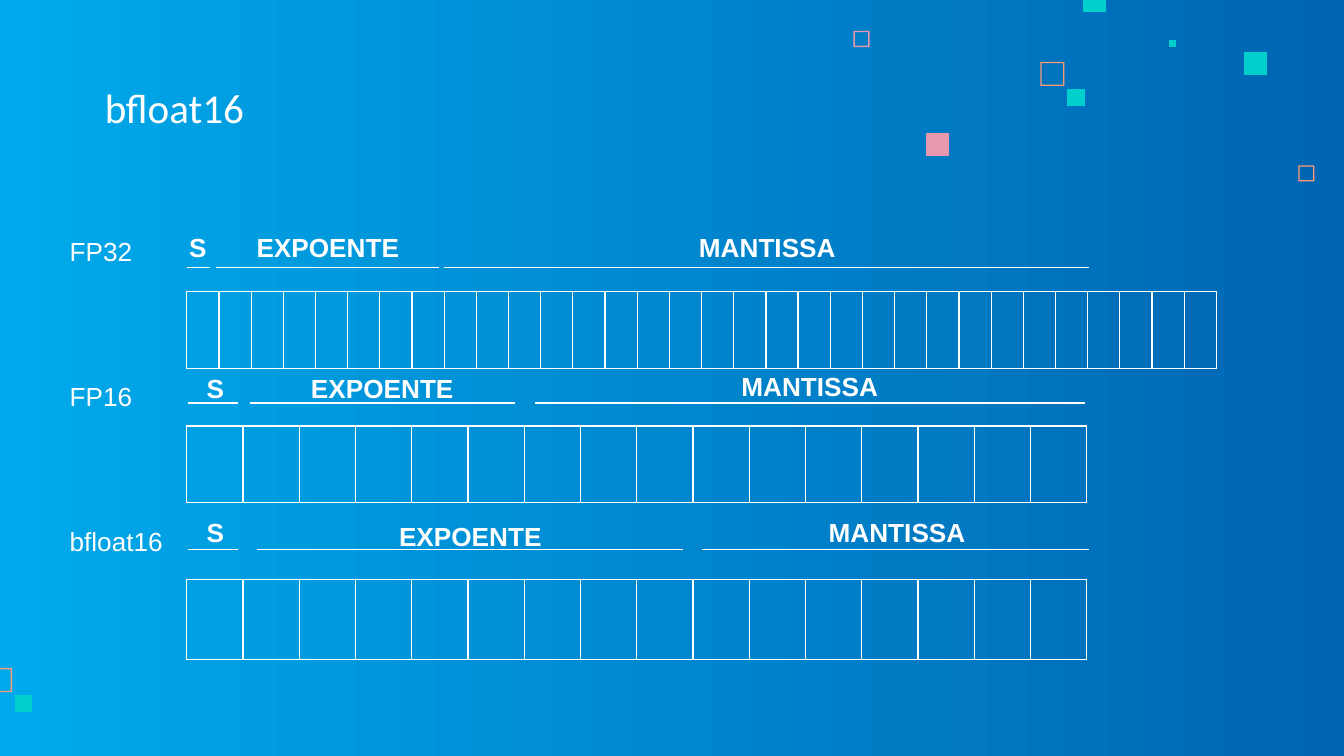
from lxml import etree
from pptx import Presentation
from pptx import util as u
from pptx.dml.color import RGBColor
from pptx.enum import shapes, text
from pptx.oxml.ns import qn

WIDE = 10
HIGH = WIDE * 9 / 16
HUES = {"white": "FFFFFF", "dark": "0065B2", "light": "00A9EB",
        "teal": "00CFCC", "pink": "E898AC", "peach": "FF9973"}
TITLE = "bfloat16"
LEFT = 1.39     # left edge shared by all bit grids
LINE = 0.43     # height of a one-line label
EDGE = 0.01     # thickness of hollow squares

# Each field: name, rule start, rule end, label left, label width, label top
FORMATS = [
    {"name": "FP32", "top": 1.65, "wide": 0.82, "rule": 1.99,
     "bits": 32, "grid": (2.17, 7.62, 0.57),
     "fields": [("S", 1.39, 1.56, 1.31, 0.23, 1.62),
                ("EXPOENTE", 1.61, 3.27, 1.61, 1.66, 1.62),
                ("MANTISSA", 3.3, 8.1, 3.31, 4.8, 1.62)]},
    {"name": "FP16", "top": 2.73, "wide": 0.82, "rule": 3,
     "bits": 16, "grid": (3.17, 6.7, 0.57),
     "fields": [("S", 1.4, 1.77, 1.44, 0.23, 2.67),
                ("EXPOENTE", 1.86, 3.83, 1.86, 1.97, 2.67),
                ("MANTISSA", 3.98, 8.07, 3.98, 4.09, 2.66)]},
    {"name": "bfloat16", "top": 3.81, "wide": 0.97, "rule": 4.09,
     "bits": 16, "grid": (4.31, 6.7, 0.6),
     "fields": [("S", 1.4, 1.77, 1.44, 0.23, 3.74),
                ("EXPOENTE", 1.91, 5.08, 1.91, 3.18, 3.77),
                ("MANTISSA", 5.22, 8.1, 5.23, 2.89, 3.74)]},
]

# Left, top, side, colour, hollow
SQUARES = [
    (9.66, 1.23, 0.12, "peach", True), (6.35, 0.23, 0.12, "pink", True),
    (7.74, 0.46, 0.18, "peach", True), (8.7, 0.3, 0.05, "teal", False),
    (8.06, -0.08, 0.17, "teal", False), (9.26, 0.39, 0.17, "teal", False),
    (7.94, 0.66, 0.13, "teal", False), (6.89, 0.99, 0.17, "pink", False),
    (-0.09, 4.97, 0.18, "peach", True), (0.11, 5.17, 0.13, "teal", False),
]


def hue(name):
    return RGBColor.from_string(HUES[name])


def inch(*sizes):
    return [u.Inches(size) for size in sizes]


def write(frame, words, size, face, bold=False, align=None):
    frame.word_wrap = True
    frame.margin_left = frame.margin_right = u.Inches(0.1)
    frame.margin_top = frame.margin_bottom = u.Inches(0.1)
    para = frame.paragraphs[0]
    para.alignment = align
    run = para.add_run()
    run.text = words
    run.font.size, run.font.name, run.font.bold = u.Pt(size), face, bold
    run.font.color.rgb = hue("white")


def add_label(slide, box, words, bold=False, align=text.PP_ALIGN.LEFT):
    frame = slide.shapes.add_textbox(*inch(*box)).text_frame
    write(frame, words, 14, "Arial", bold, align)
    frame.auto_size = text.MSO_AUTO_SIZE.SHAPE_TO_FIT_TEXT


def add_square(slide, left, top, side, color, hollow):
    right, base = left + side, top + side
    build = slide.shapes.build_freeform(*inch(left, top))
    build.add_line_segments([inch(left, base), inch(right, base),
                             inch(right, top)])
    if hollow:
        x, y, far, low = left + EDGE, top + EDGE, right - EDGE, base - EDGE
        build.move_to(*inch(x, y))
        build.add_line_segments([inch(far, y), inch(far, low), inch(x, low)])
    shape = build.convert_to_shape()
    shape.shadow.inherit = False
    shape.fill.solid()
    shape.fill.fore_color.rgb = hue(color)
    shape.line.fill.background()


def add_rule(slide, start, end, y):
    rule = slide.shapes.add_connector(shapes.MSO_CONNECTOR.STRAIGHT,
                                      *inch(start, y, end, y))
    rule.line.color.rgb = hue("white")
    rule.line.width = u.Pt(0.75)
    etree.SubElement(rule._element.spPr, qn("a:effectLst"))


def outline(cell):
    """Clear the cell's fill and draw thin white borders."""
    props = cell._tc.get_or_add_tcPr()
    for side in ("lnL", "lnR", "lnT", "lnB"):
        line = etree.SubElement(props, qn("a:" + side), w=str(u.Pt(0.75)))
        fill = etree.SubElement(line, qn("a:solidFill"))
        etree.SubElement(fill, qn("a:srgbClr"), val=HUES["white"])
    cell.fill.background()


def add_bits(slide, count, top, wide, high):
    table = slide.shapes.add_table(1, count,
                                   *inch(LEFT, top, wide, high)).table
    table.first_row = table.horz_banding = False
    for col in table.columns:
        col.width = u.Inches(wide / count)
    for cell in table.iter_cells():
        outline(cell)


def main():
    deck = Presentation()
    deck.slide_width, deck.slide_height = inch(WIDE, HIGH)
    slide = deck.slides.add_slide(deck.slide_layouts[5])

    back = slide.background.fill
    back.gradient()
    back.gradient_angle = 180
    for stop, name in zip(back.gradient_stops, ("dark", "light")):
        stop.color.rgb = hue(name)

    for square in SQUARES:
        add_square(slide, *square)

    title = slide.shapes.title
    title.left, title.top, title.width, title.height = inch(
        0.68, 0.45, 5.17, 0.63)
    write(title.text_frame, TITLE, 22, "Calibri", align=text.PP_ALIGN.LEFT)
    title.text_frame.vertical_anchor = text.MSO_ANCHOR.BOTTOM

    for form in FORMATS:
        add_bits(slide, form["bits"], *form["grid"])
        add_label(slide, (0.42, form["top"], form["wide"], LINE), form["name"])
        for name, start, end, left, wide, top in form["fields"]:
            add_rule(slide, start, end, form["rule"])
            align = text.PP_ALIGN.LEFT if name == "S" else text.PP_ALIGN.CENTER
            add_label(slide, (left, top, wide, LINE), name, True, align)

    deck.save("out.pptx")


if __name__ == "__main__":
    main()
